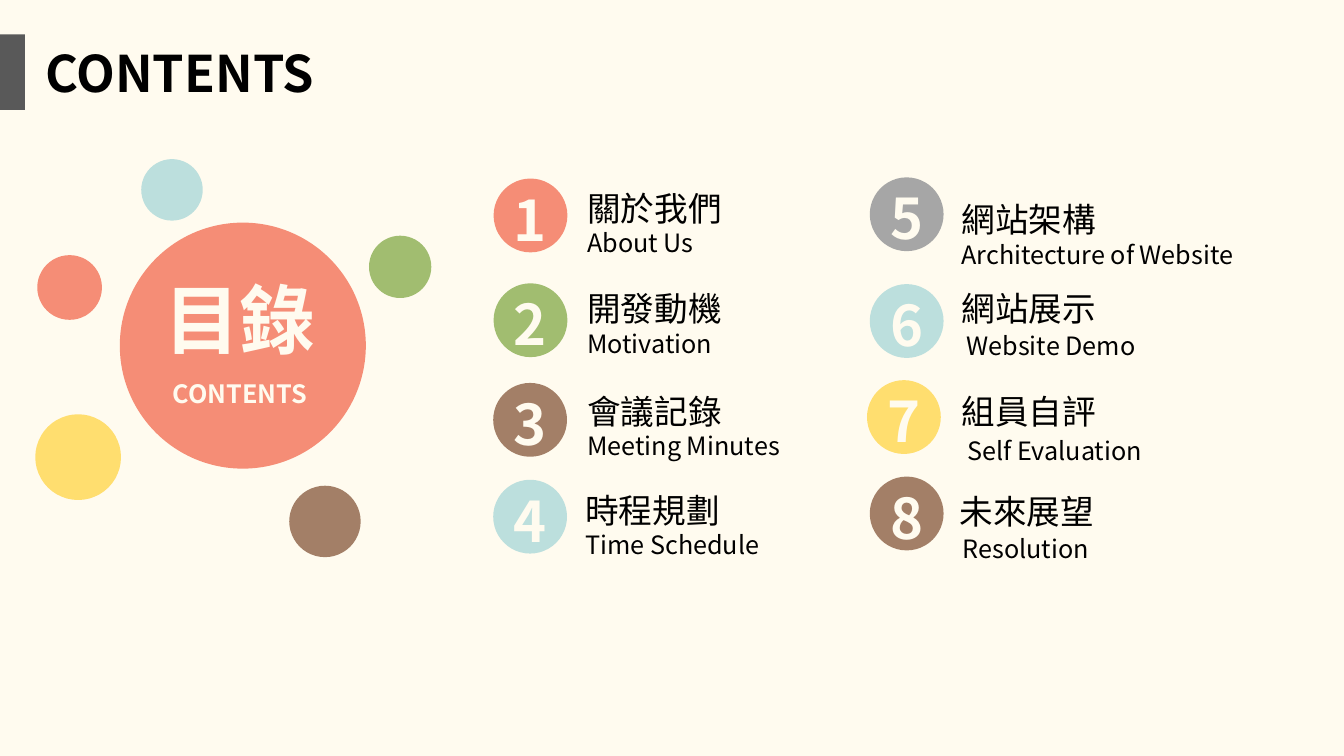
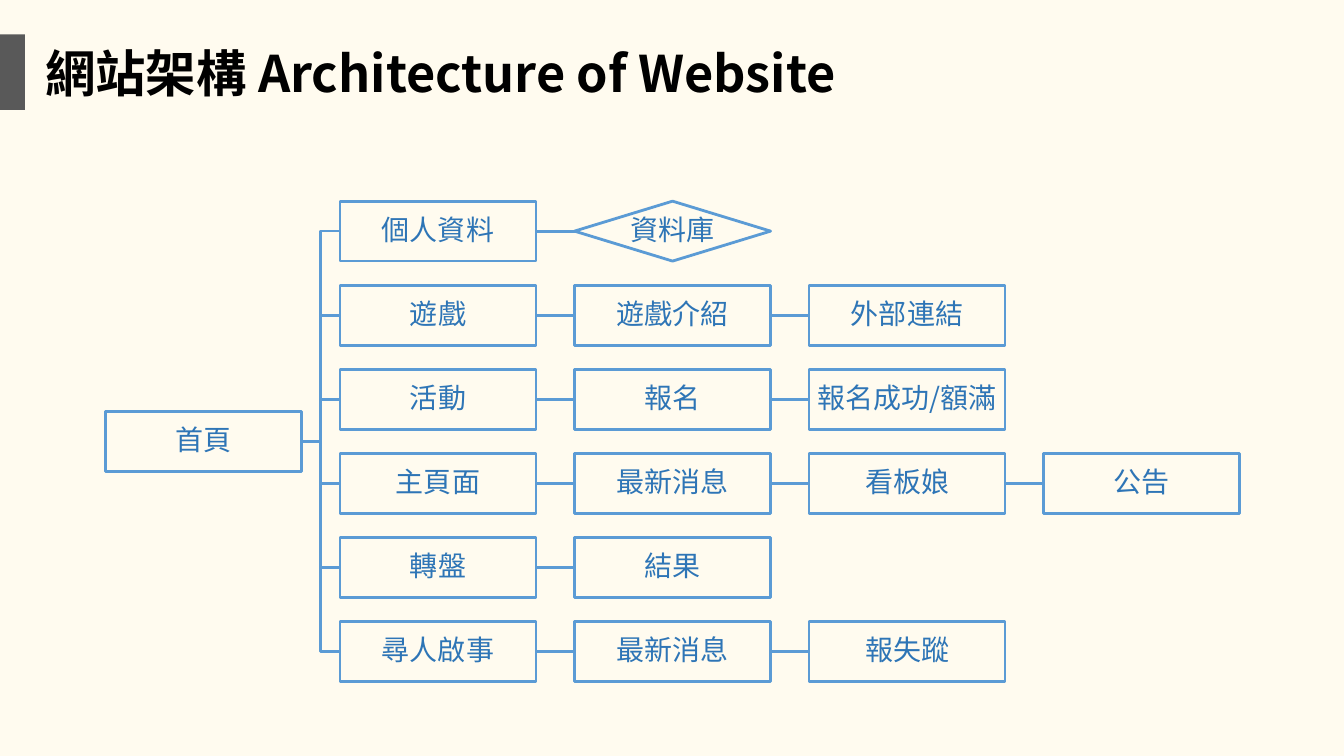
from lxml import etree
from pptx import Presentation
from pptx import util as u
from pptx.dml.color import RGBColor
from pptx.enum import shapes, text
from pptx.oxml.ns import qn

FONT = "Noto Sans CJK SC"
COLORS = {
    "cream": "FFFBEF", "black": "000000", "bar": "595959", "coral": "F58D76",
    "yellow": "FFDE6F", "aqua": "BCDFDD", "green": "A1BD70", "brown": "A37F67",
    "gray": "A6A6A6", "line": "5B9BD5", "node": "2E75B6",
}
OVAL = shapes.MSO_SHAPE.OVAL
RECTANGLE = shapes.MSO_SHAPE.RECTANGLE
DIAMOND = shapes.MSO_SHAPE.DIAMOND
RIGHT_SITE, LEFT_SITE = 3, 1

# left, top, diameter, colour
BUBBLES = [
    (3.02, 5.61, 6.2, "coral"),
    (0.89, 10.44, 2.16, "yellow"),
    (0.94, 6.43, 1.63, "coral"),
    (3.56, 4.01, 1.55, "aqua"),
    (9.3, 5.94, 1.57, "green"),
    (7.29, 12.24, 1.8, "brown"),
]
NUMBER_SIZE = 1.86
# Chinese, English, colour, number position, Chinese position, English offset
TOPICS = [
    ("關於我們", "About Us", "coral", (12.44, 4.5), (14.55, 4.6), (0, 1)),
    ("開發動機", "Motivation", "green", (12.44, 7.14), (14.55, 7.14), (0, 1)),
    ("會議記錄", "Meeting Minutes", "brown", (12.43, 9.65), (14.55, 9.73), (0, 1)),
    ("時程規劃", "Time Schedule", "aqua", (12.43, 12.09), (14.5, 12.22), (0, 1)),
    ("網站架構", "Architecture of Website", "gray", (21.92, 4.47), (23.98, 4.9), (0, 1)),
    ("網站展示", "Website Demo", "aqua", (21.92, 7.16), (23.98, 7.14), (0.13, 1.07)),
    ("組員自評", "Self Evaluation", "yellow", (21.85, 9.58), (23.98, 9.73), (0.15, 1.12)),
    ("未來展望", "Resolution", "brown", (21.92, 12.01), (23.93, 12.24), (0.08, 1.07)),
]

NODE_WIDTH, NODE_HEIGHT = 4.94, 1.51
TREE_LEFT, TREE_TOP = 2.66, 5.07
COLUMN_STEP, ROW_STEP = 5.91, 2.12
BRANCHES = [
    ["個人資料", "資料庫"],
    ["遊戲", "遊戲介紹", "外部連結"],
    ["活動", "報名", "報名成功/額滿"],
    ["主頁面", "最新消息", "看板娘", "公告"],
    ["轉盤", "結果"],
    ["尋人啟事", "最新消息", "報失蹤"],
]
DATABASE = "資料庫"


def rgb(name):
    return RGBColor.from_string(COLORS[name])


def write(frame, content, size, color="black", bold=False):
    """Fill the frame with one styled paragraph and return it."""
    paragraph = frame.paragraphs[0]
    paragraph.text = content
    font = paragraph.font
    font.size, font.bold, font.name = u.Pt(size), bold, FONT
    font.color.rgb = rgb(color)
    latin = paragraph._p.find(".//" + qn("a:latin"))
    east_asian = etree.Element(qn("a:ea"), typeface=FONT)
    latin.addnext(east_asian)
    return paragraph


def add_label(slide, content, left, top, width, height, size, **style):
    box = slide.shapes.add_textbox(u.Cm(left), u.Cm(top), u.Cm(width), u.Cm(height))
    box.text_frame.word_wrap = True
    write(box.text_frame, content, size, **style)


def add_plain_shape(slide, kind, left, top, width, height, fill=None):
    """Add a shape that is either filled without outline or outlined only."""
    shape = slide.shapes.add_shape(
        kind, u.Cm(left), u.Cm(top), u.Cm(width), u.Cm(height))
    shape.shadow.inherit = False
    if fill:
        shape.fill.solid()
        shape.fill.fore_color.rgb = rgb(fill)
        shape.line.fill.background()
    else:
        shape.fill.background()
        shape.line.color.rgb = rgb("line")
        shape.line.width = u.Pt(2)
    return shape


def write_centered(shape, content, size, color, bold=False, inset=0, top_inset=0):
    frame = shape.text_frame
    frame.word_wrap = True
    frame.vertical_anchor = text.MSO_ANCHOR.MIDDLE
    frame.margin_left = frame.margin_right = frame.margin_bottom = u.Cm(inset)
    frame.margin_top = u.Cm(inset + top_inset)
    paragraph = write(frame, content, size, color, bold)
    paragraph.alignment = text.PP_ALIGN.CENTER
    return paragraph


def add_titled_slide(presentation, title):
    slide = presentation.slides.add_slide(presentation.slide_layouts[6])
    slide.background.fill.solid()
    slide.background.fill.fore_color.rgb = rgb("cream")
    add_plain_shape(slide, RECTANGLE, 0, 0.87, 0.63, 1.9, "bar")
    add_label(slide, title, 0.89, 0.94, 30, 1.8, 36, bold=True)
    return slide


def add_topic(slide, number, topic):
    chinese, english, color, circle_at, (left, top), (shift, drop) = topic
    circle = add_plain_shape(slide, OVAL, *circle_at, NUMBER_SIZE, NUMBER_SIZE, color)
    write_centered(circle, str(number), 40, "cream", bold=True, top_inset=0.16)
    add_label(slide, chinese, left, top, 5.3, 1.27, 24)
    add_label(slide, english, left + shift, top + drop, 8.5, 1.02, 18)


def add_node(slide, content, column, row):
    kind = DIAMOND if content == DATABASE else RECTANGLE
    node = add_plain_shape(
        slide, kind, TREE_LEFT + column * COLUMN_STEP, TREE_TOP + row * ROW_STEP,
        NODE_WIDTH, NODE_HEIGHT)
    write_centered(node, content, 20, "node", inset=0.03).line_spacing = 0.9
    return node


def connect(slide, parent, child, kind):
    connector = slide.shapes.add_connector(kind, 0, 0, 0, 0)
    connector.begin_connect(parent, RIGHT_SITE)
    connector.end_connect(child, LEFT_SITE)
    connector.line.color.rgb = rgb("line")
    connector.line.width = u.Pt(2)
    etree.SubElement(connector._element.spPr, qn("a:effectLst"))


def build_contents(presentation):
    slide = add_titled_slide(presentation, "CONTENTS")
    for left, top, diameter, color in BUBBLES:
        add_plain_shape(slide, OVAL, left, top, diameter, diameter, color)
    add_label(slide, "目錄", 3.89, 6.76, 5, 2.57, 54, color="cream", bold=True)
    add_label(slide, "CONTENTS", 4.11, 9.42, 4.5, 1.02, 18, color="cream", bold=True)
    for number, topic in enumerate(TOPICS, 1):
        add_topic(slide, number, topic)


def build_architecture(presentation):
    slide = add_titled_slide(presentation, "網站架構 Architecture of Website")
    home = add_node(slide, "首頁", 0, (len(BRANCHES) - 1) / 2)
    for row, branch in enumerate(BRANCHES):
        parent, kind = home, shapes.MSO_CONNECTOR.ELBOW
        for column, content in enumerate(branch, 1):
            node = add_node(slide, content, column, row)
            connect(slide, parent, node, kind)
            parent, kind = node, shapes.MSO_CONNECTOR.STRAIGHT


def main():
    presentation = Presentation()
    presentation.slide_width = u.Cm(33.87)
    presentation.slide_height = u.Cm(19.05)
    build_contents(presentation)
    build_architecture(presentation)
    presentation.save("out.pptx")


if __name__ == "__main__":
    main()
